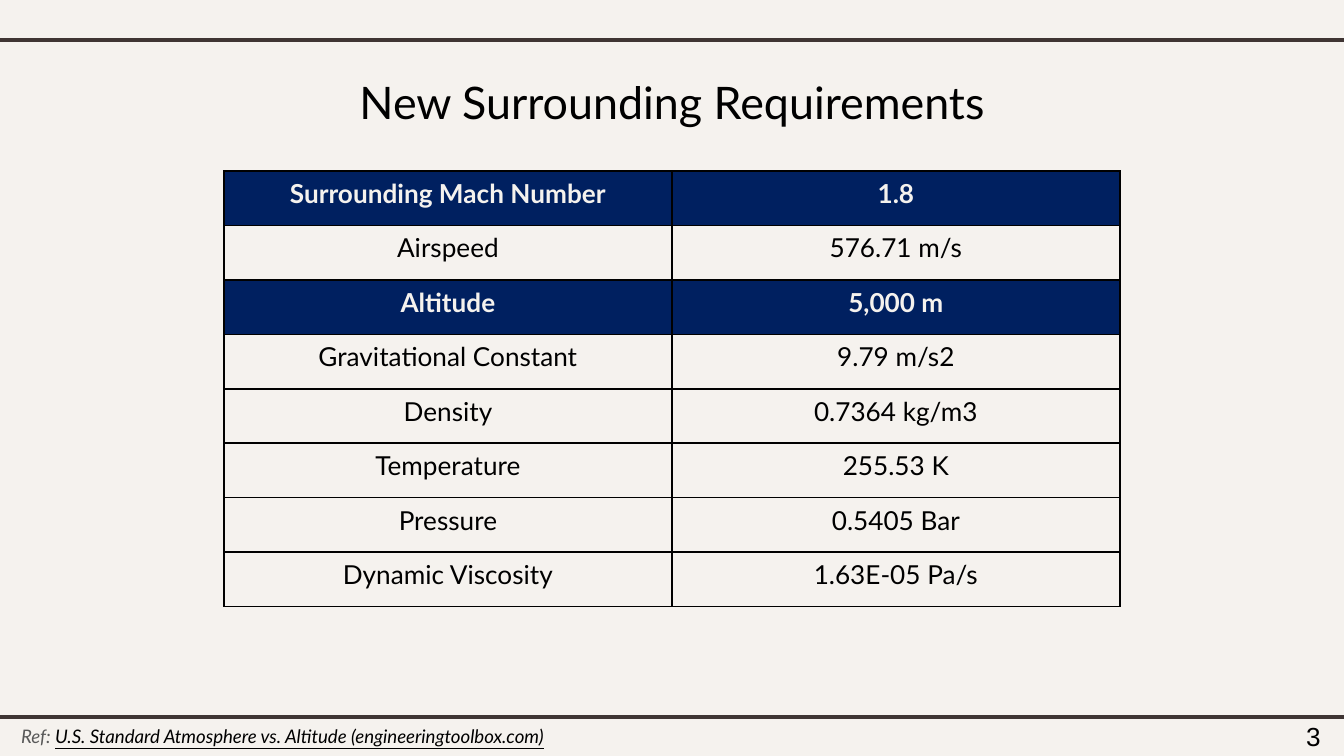
from dataclasses import dataclass
from typing import NamedTuple

from lxml import etree
from pptx import Presentation
from pptx import util as u
from pptx.dml.color import RGBColor
from pptx.enum import shapes, text
from pptx.oxml import ns

EMU_PER_PX = 914400 / 134.4


@dataclass(frozen=True)
class Theme:
    paper: RGBColor = RGBColor(0xF5, 0xF2, 0xEE)
    rule: RGBColor = RGBColor(0x3F, 0x35, 0x33)
    navy: RGBColor = RGBColor(0x00, 0x20, 0x60)
    ink: RGBColor = RGBColor(0x00, 0x00, 0x00)
    muted: RGBColor = RGBColor(0x59, 0x59, 0x59)
    body_font: str = "Lato"
    number_font: str = "Arial"
    title_size: int = 24
    table_size: int = 14
    number_size: int = 14
    reference_size: int = 10
    rule_width: float = 2.25
    border_width: int = 1


THEME = Theme()


class Box(NamedTuple):
    left: int
    top: int
    width: int
    height: int


class Requirement(NamedTuple):
    quantity: str
    value: str
    highlighted: bool = False


REQUIREMENTS = [
    Requirement("Surrounding Mach Number", "1.8", True),
    Requirement("Airspeed", "576.71 m/s"),
    Requirement("Altitude", "5,000 m", True),
    Requirement("Gravitational Constant", "9.79 m/s2"),
    Requirement("Density", "0.7364 kg/m3"),
    Requirement("Temperature", "255.53 K"),
    Requirement("Pressure", "0.5405 Bar"),
    Requirement("Dynamic Viscosity", "1.63E-05 Pa/s"),
]

SLIDE_WIDTH, SLIDE_HEIGHT = 1344, 756
RULE_OVERHANG = 11
RULE_HEIGHTS = (40, 717)
TITLE_BOX = Box(207, 60, 930, 84)
TABLE_BOX = Box(224, 171, 896, 436)
REFERENCE_BOX = Box(8, 718, 930, 36)
NUMBER_BOX = Box(1293, 714, 43, 46)


def px(length: float) -> u.Emu:
    return u.Emu(round(length * EMU_PER_PX))


def style_font(font, size: int, color: RGBColor, name: str = THEME.body_font) -> None:
    font.name = name
    font.size = u.Pt(size)
    font.color.rgb = color


def add_rule(slide, y: int) -> None:
    rule = slide.shapes.add_connector(
        shapes.MSO_CONNECTOR.STRAIGHT,
        px(-RULE_OVERHANG), px(y), px(SLIDE_WIDTH + RULE_OVERHANG), px(y),
    )
    rule.line.color.rgb = THEME.rule
    rule.line.width = u.Pt(THEME.rule_width)
    etree.SubElement(rule.element.spPr, ns.qn("a:effectLst"))


def add_label(slide, box: Box, wording: str, wrap: bool = True):
    """Add a text box and return its frame."""
    frame = slide.shapes.add_textbox(*map(px, box)).text_frame
    frame.word_wrap = wrap
    frame.text = wording
    return frame


def add_borders(cell) -> None:
    properties = cell._tc.get_or_add_tcPr()
    for side in ("lnL", "lnR", "lnT", "lnB"):
        border = etree.SubElement(
            properties, ns.qn(f"a:{side}"), w=str(u.Pt(THEME.border_width))
        )
        fill = etree.SubElement(border, ns.qn("a:solidFill"))
        etree.SubElement(fill, ns.qn("a:srgbClr"), val=str(THEME.ink))


def fill_cell(cell, wording: str, highlighted: bool) -> None:
    add_borders(cell)
    if highlighted:
        cell.fill.solid()
        cell.fill.fore_color.rgb = THEME.navy
    else:
        cell.fill.background()
    cell.text = wording
    paragraph = cell.text_frame.paragraphs[0]
    paragraph.alignment = text.PP_ALIGN.CENTER
    style_font(paragraph.font, THEME.table_size, THEME.paper if highlighted else THEME.ink)
    paragraph.font.bold = highlighted


def add_requirements(slide, requirements: list[Requirement], box: Box) -> None:
    table = slide.shapes.add_table(len(requirements), 2, *map(px, box)).table
    table.first_row = table.horz_banding = False
    for row, requirement in enumerate(requirements):
        table.rows[row].height = px(box.height / len(requirements))
        for column, wording in enumerate((requirement.quantity, requirement.value)):
            fill_cell(table.cell(row, column), wording, requirement.highlighted)


def main() -> None:
    deck = Presentation()
    deck.slide_width, deck.slide_height = px(SLIDE_WIDTH), px(SLIDE_HEIGHT)
    slide = deck.slides.add_slide(deck.slide_layouts[6])
    slide.background.fill.solid()
    slide.background.fill.fore_color.rgb = THEME.paper

    # Rules above and below the content
    for y in RULE_HEIGHTS:
        add_rule(slide, y)

    # Title
    title = add_label(slide, TITLE_BOX, "New Surrounding Requirements")
    title.vertical_anchor = text.MSO_ANCHOR.MIDDLE
    title.paragraphs[0].alignment = text.PP_ALIGN.CENTER
    style_font(title.paragraphs[0].font, THEME.title_size, THEME.ink)

    # Requirements table
    add_requirements(slide, REQUIREMENTS, TABLE_BOX)

    # Reference
    reference = add_label(slide, REFERENCE_BOX, "Ref: ").paragraphs[0]
    style_font(reference.font, THEME.reference_size, THEME.muted)
    reference.font.italic = True
    source = reference.add_run()
    source.text = "U.S. Standard Atmosphere vs. Altitude (engineeringtoolbox.com)"
    source.font.color.rgb = THEME.ink
    source.font.underline = True

    # Page number
    number = add_label(slide, NUMBER_BOX, "3", wrap=False).paragraphs[0]
    style_font(number.font, THEME.number_size, THEME.ink, THEME.number_font)

    deck.save("out.pptx")


if __name__ == "__main__":
    main()
